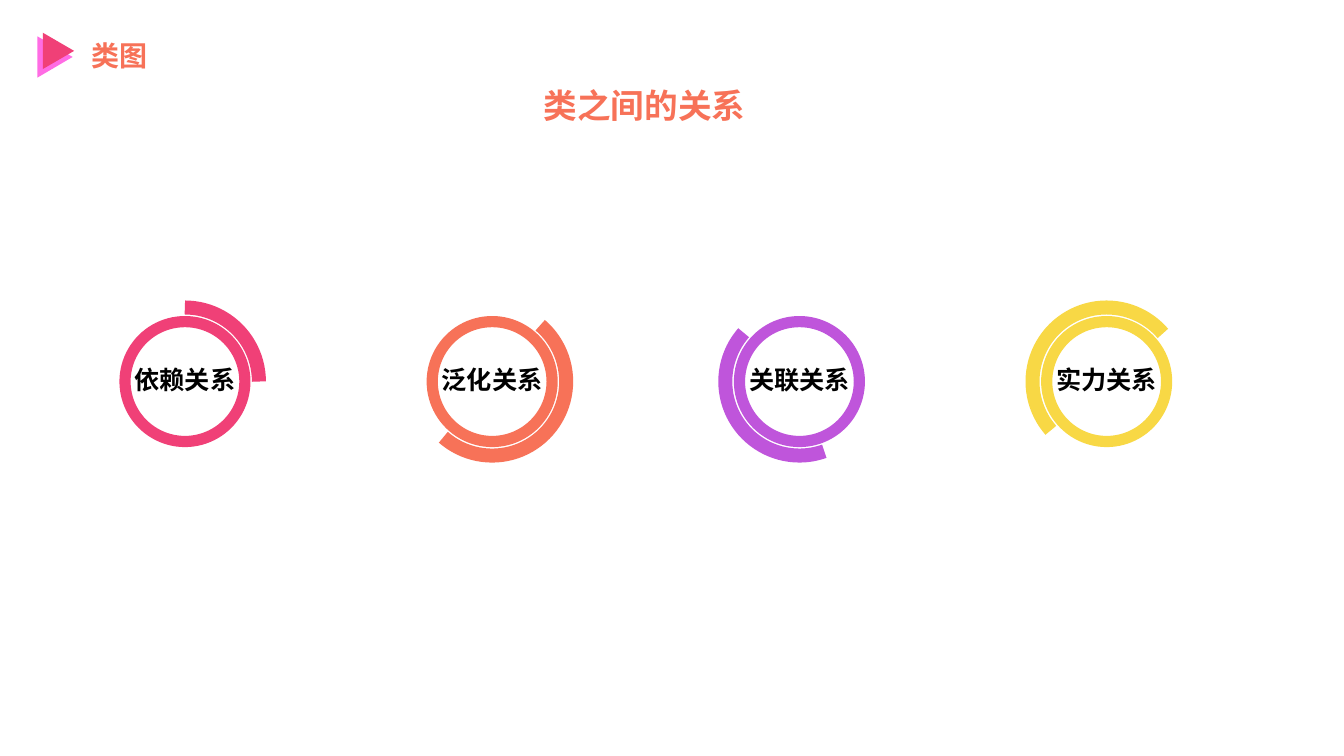
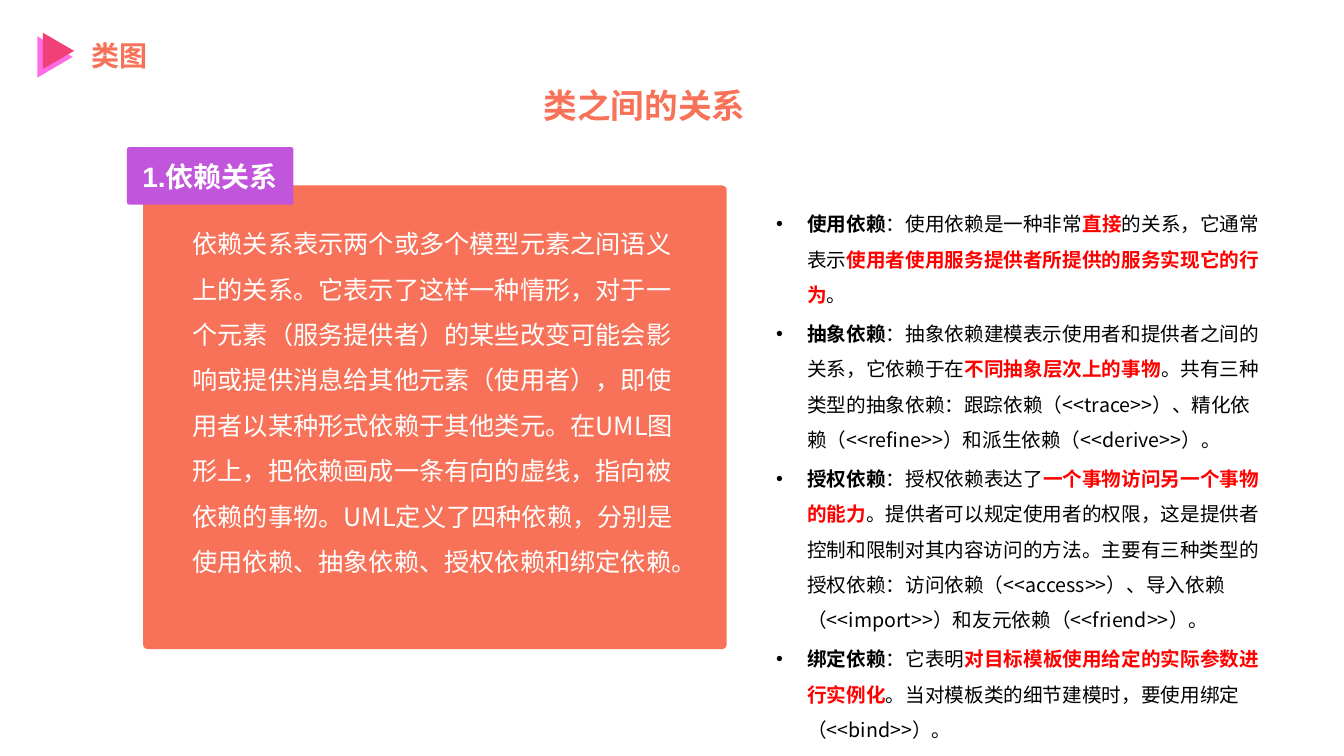
from dataclasses import dataclass
from itertools import cycle

from lxml.etree import SubElement
from pptx import Presentation
from pptx.dml.color import RGBColor
from pptx.enum.shapes import MSO_SHAPE
from pptx.enum.text import MSO_ANCHOR, MSO_AUTO_SIZE, PP_ALIGN
from pptx.oxml.ns import qn
from pptx.util import Inches, Pt

WIDE, HIGH = Inches(13.333), Inches(7.5)
RATIO = WIDE / HIGH
FONT = "Noto Sans CJK SC"
HUES = {
    "pink": "F04077", "rose": "FF6CE4", "coral": "F77258",
    "plum": "BF55DB", "tag": "C155DC", "gold": "F8D845",
    "ink": "000000", "red": "FF0000", "white": "FFFFFF",
}


@dataclass
class Area:
    """Left, top, width and height in percent of the slide."""
    x: float
    y: float
    w: float
    h: float

    def emu(self) -> tuple:
        return (int(WIDE * self.x / 100), int(HIGH * self.y / 100),
                int(WIDE * self.w / 100), int(HIGH * self.h / 100))


@dataclass
class Style:
    size: int
    hue: str
    bold: bool = False
    name: str = FONT


@dataclass
class Ring:
    """A labelled circle with an outer arc, angles in degrees clockwise."""
    label: str
    hue: str
    start: float
    end: float


HEAD = Style(20, "coral", True)
TITLE = Style(24, "coral", True)
LABEL = Style(18, "ink", True)
BODY = Style(18, "white")
TAG = Style(20, "white", True, "Arial")
TERM = Style(14, "ink", True)
PLAIN = Style(14, "ink")
KEY = Style(14, "red", True)

RINGS = [
    Ring("依赖关系", "pink", 270, 0),
    Ring("泛化关系", "coral", 310.5, 131.2),
    Ring("关联关系", "plum", 70.3, 221.2),
    Ring("实力关系", "gold", 138.8, 319.5),
]

INTRO = (
    "依赖关系表示两个或多个模型元素之间语义上的关系。它表示了这样一种情形，"
    "对于一个元素（服务提供者）的某些改变可能会影响或提供消息给其他元素（使用者），"
    "即使用者以某种形式依赖于其他类元。在UML图形上，把依赖画成一条有向的虚线，"
    "指向被依赖的事物。UML定义了四种依赖，分别是使用依赖、抽象依赖、授权依赖和绑定依赖。"
)

# Each row: term, then plain and key parts in turn
KINDS = [
    ("使用依赖", "：使用依赖是一种非常", "直接", "的关系，它通常表示",
     "使用者使用服务提供者所提供的服务实现它的行为", "。"),
    ("抽象依赖", "：抽象依赖建模表示使用者和提供者之间的关系，它依赖于在",
     "不同抽象层次上的事物",
     "。共有三种类型的抽象依赖：跟踪依赖（<<trace>>）、精化依赖（<<refine>>）"
     "和派生依赖（<<derive>>）。"),
    ("授权依赖", "：授权依赖表达了", "一个事物访问另一个事物的能力",
     "。提供者可以规定使用者的权限，这是提供者控制和限制对其内容访问的方法。"
     "主要有三种类型的授权依赖：访问依赖（<<access>>）、导入依赖（<<import>>）"
     "和友元依赖（<<friend>>）。"),
    ("绑定依赖", "：它表明", "对目标模板使用给定的实际参数进行实例化",
     "。当对模板类的细节建模时，要使用绑定（<<bind>>）。"),
]


def paint(hue: str) -> RGBColor:
    return RGBColor.from_string(HUES[hue])


def apply(item, **vals) -> None:
    for key, val in vals.items():
        setattr(item, key, val)


def write(para, text: str, style: Style) -> None:
    run = para.add_run()
    run.text = text
    apply(run.font, size=Pt(style.size), bold=style.bold, name=style.name)
    run.font.color.rgb = paint(style.hue)
    SubElement(run.font._element, qn("a:ea"), typeface=FONT)


def frame(shape, wrap: bool = True, anchor=MSO_ANCHOR.TOP):
    body = shape.text_frame
    apply(body, word_wrap=wrap, vertical_anchor=anchor,
          auto_size=MSO_AUTO_SIZE.NONE)
    return body


def label(slide, area: Area, text: str, style: Style,
          align=PP_ALIGN.LEFT, wrap: bool = True):
    para = frame(slide.shapes.add_textbox(*area.emu()), wrap).paragraphs[0]
    para.alignment = align
    write(para, text, style)
    return para


def block(slide, kind, area: Area, fill: str = "", line: str = "",
          width: int = 0, turn: int = 0):
    shape = slide.shapes.add_shape(kind, *area.emu())
    shape.shadow.inherit = False
    shape.rotation = turn
    if fill:
        shape.fill.solid()
        shape.fill.fore_color.rgb = paint(fill)
    else:
        shape.fill.background()
    if line:
        shape.line.color.rgb = paint(line)
        shape.line.width = Pt(width)
    else:
        shape.line.fill.background()
    return shape


def round_at(x: float, y: float, size: float) -> Area:
    """A true circle's box around a centre, size in percent of width."""
    tall = size * RATIO
    return Area(x - size / 2, y - tall / 2, size, tall)


def start(deck):
    """A new slide with the shared mark, header and title."""
    slide = deck.slides.add_slide(deck.slide_layouts[5])
    title = slide.shapes.title
    left, top, wide, high = Area(33.45, 10.53, 29.02, 6.67).emu()
    apply(title, left=left, top=top, width=wide, height=high)
    para = frame(title).paragraphs[0]
    para.alignment = PP_ALIGN.CENTER
    write(para, "类之间的关系", TITLE)
    for area, hue in ((Area(2.55, 5.2, 3.08, 4.67), "rose"),
                      (Area(3, 4.67, 2.7, 4.13), "pink")):
        block(slide, MSO_SHAPE.ISOSCELES_TRIANGLE, area, hue, turn=90)
    label(slide, Area(6.08, 4.4, 16.65, 5.87), "类图", HEAD)
    return slide


def draw_ring(slide, ring: Ring, x: float) -> None:
    y = 50.47
    block(slide, MSO_SHAPE.OVAL, round_at(x, y, 8.92), line=ring.hue, width=8)
    arc = block(slide, MSO_SHAPE.ARC, round_at(x, y, 11.02),
                line=ring.hue, width=10)
    for i, angle in enumerate((ring.start, ring.end)):
        arc.adjustments[i] = angle * 0.6  # 60000ths of a degree / 100000
    label(slide, Area(x - 4.54, 47.47, 9.08, 5.33), ring.label, LABEL,
          PP_ALIGN.CENTER, False)


def bullet(para) -> None:
    props = para._p.get_or_add_pPr()
    props.set("marL", str(Inches(0.31)))
    props.set("indent", str(-Inches(0.31)))
    SubElement(props, qn("a:buFont"), typeface="Arial")
    SubElement(props, qn("a:buChar"), char="•")


def list_kinds(slide, area: Area) -> None:
    body = frame(slide.shapes.add_textbox(*area.emu()))
    for i, (term, *parts) in enumerate(KINDS):
        para = body.add_paragraph() if i else body.paragraphs[0]
        bullet(para)
        apply(para, line_spacing=1.5, space_before=Pt(2.8 if i else 0))
        write(para, term, TERM)
        for part, style in zip(parts, cycle((PLAIN, KEY))):
            write(para, part, style)


def main() -> None:
    deck = Presentation()
    apply(deck, slide_width=WIDE, slide_height=HIGH)

    # Overview: four rings at an equal pitch
    slide = start(deck)
    for i, ring in enumerate(RINGS):
        draw_ring(slide, ring, 13.76 + 22.86 * i)

    # Dependency: card, tag and list
    slide = start(deck)
    card = block(slide, MSO_SHAPE.ROUNDED_RECTANGLE,
                 Area(10.65, 24.53, 43.42, 61.33), "coral")
    card.adjustments[0] = 0.01
    para = label(slide, Area(13.58, 27.6, 37.58, 56.8), INTRO, BODY)
    para.line_spacing = 1.5
    tag = block(slide, MSO_SHAPE.ROUNDED_RECTANGLE,
                Area(9.45, 19.47, 12.38, 7.6), "tag")
    tag.adjustments[0] = 0.04
    para = frame(tag, False, MSO_ANCHOR.MIDDLE).paragraphs[0]
    para.alignment = PP_ALIGN.CENTER
    write(para, "1.依赖关系", TAG)
    list_kinds(slide, Area(57, 25.87, 37.58, 73.87))

    deck.save("out.pptx")


if __name__ == "__main__":
    main()
